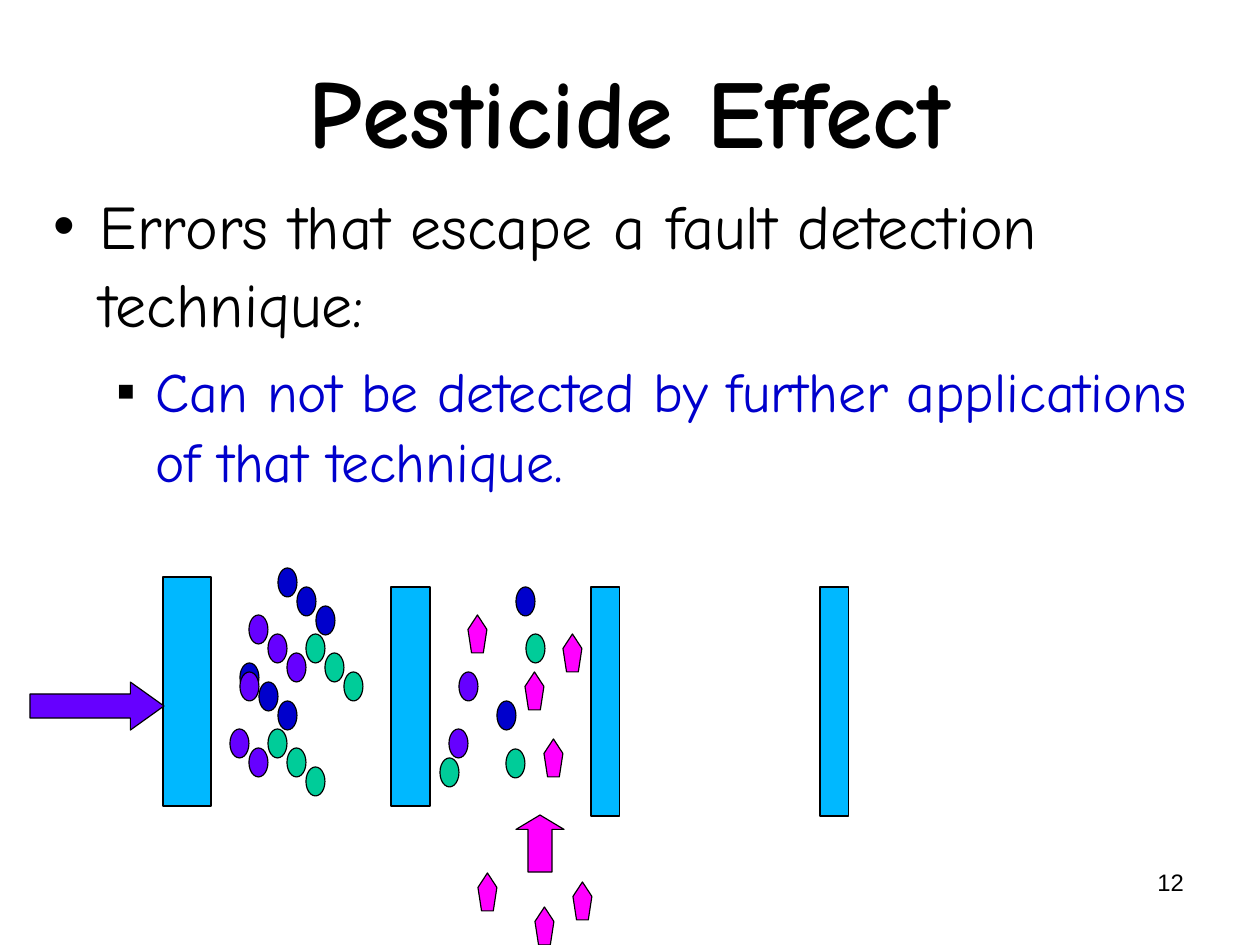
"""Build the Pesticide Effect slide."""
from lxml.etree import SubElement
from pptx import Presentation
from pptx.dml.color import RGBColor
from pptx.enum.shapes import MSO_SHAPE as Kind
from pptx.enum.text import MSO_ANCHOR as Anchor, MSO_AUTO_SIZE as Fit, PP_ALIGN as Align
from pptx.oxml.ns import qn
from pptx.util import Pt

PX = 8000
BLACK, BLUE, PURPLE = "000000", "0000CC", "6600FF"
GREEN, PINK, CYAN = "00CC99", "FF00FF", "00B8FF"


def style(shape, box, anchor=Anchor.TOP):
    """Place a text shape and set its frame."""
    shape.left, shape.top, shape.width, shape.height = [v * PX for v in box]
    frame = shape.text_frame
    frame.word_wrap, frame.auto_size = True, Fit.NONE
    frame.vertical_anchor = anchor
    frame.margin_left = frame.margin_right = 13 * PX
    frame.margin_top = frame.margin_bottom = 7 * PX
    return frame


def paint(target, color):
    """Give a font or a solid fill its colour."""
    if hasattr(target, "solid"):
        target.solid()
        target.fore_color.rgb = RGBColor.from_string(color)
    else:
        target.color.rgb = RGBColor.from_string(color)


deck = Presentation()
deck.slide_width, deck.slide_height = 1260 * PX, 945 * PX
slide = deck.slides.add_slide(deck.slide_layouts[1])
shapes = slide.shapes

frame = style(shapes.title, (63, -6, 1133, 245), Anchor.MIDDLE)
frame.text = "Pesticide Effect"
para = frame.paragraphs[0]
para.alignment, para.line_spacing = Align.CENTER, 0.91
para.font.name, para.font.size, para.font.bold = "Comic Neue", Pt(61), True
paint(para.font, BLACK)

points = [
    ("Errors that escape a fault detection technique:", 39, BLACK, "•", 47, 47, 0),
    ("Can not be detected by further applications of that technique.",
     35, BLUE, "▪", 102, 39, 8.6),
]
frame = style(slide.placeholders[1], (40, 177, 1190, 712))
frame.text = "\n".join(point[0] for point in points)
for level, (para, point) in enumerate(zip(frame.paragraphs, points)):
    text, size, color, mark, left, hang, gap = point
    para.level, para.line_spacing, para.space_before = level, 1.05, Pt(gap)
    props = para._p.get_or_add_pPr()
    props.set("marL", str(left * PX))
    props.set("indent", str(-hang * PX))
    SubElement(SubElement(props, qn("a:buClr")), qn("a:srgbClr"), val=BLACK)
    SubElement(props, qn("a:buFont"), typeface="Arial")
    SubElement(props, qn("a:buChar"), char=mark)
    para.font.name, para.font.size = "Comic Neue", Pt(size)
    paint(para.font, color)

walls = [(163, 577, 48, 229), (391, 587, 39, 219), (820, 587, 29, 229), (591, 587, 29, 229)]
chains = [
    (240, 663, BLUE, 3), (240, 672, PURPLE, 1), (230, 729, PURPLE, 2),
    (268, 729, GREEN, 3), (278, 568, BLUE, 3), (249, 615, PURPLE, 3),
    (306, 634, GREEN, 3), (440, 758, GREEN, 1), (497, 701, BLUE, 1),
    (459, 672, PURPLE, 1), (449, 729, PURPLE, 1), (506, 749, GREEN, 1),
    (516, 587, BLUE, 1), (526, 634, GREEN, 1),
]
sprays = [(468, 615), (525, 672), (544, 739), (563, 634), (478, 873), (535, 907), (573, 882)]

parts = [(Kind.RECTANGLE, wall, CYAN, ()) for wall in walls]
parts.append((Kind.RIGHT_ARROW, (30, 682, 134, 48), PURPLE, (0.5, 0.7)))
for x, y, color, count in chains:
    for i in range(count):
        parts.append((Kind.OVAL, (x + 19 * i, y + 19 * i, 19, 29), color, ()))
parts += [(Kind.REGULAR_PENTAGON, (x, y, 19, 38), PINK, ()) for x, y in sprays]
parts.append((Kind.UP_ARROW, (516, 815, 48, 57), PINK, (0.5, 0.3)))

for kind, box, color, turns in parts:
    shape = shapes.add_shape(kind, *[v * PX for v in box])
    shape.shadow.inherit = False
    for i, turn in enumerate(turns):
        shape.adjustments[i] = turn
    paint(shape.fill, color)
    paint(shape.line.fill, BLACK)
    shape.line.width = Pt(0.75)

frame = style(shapes.add_textbox(0, 0, PX, PX), (903, 861, 294, 65))
frame.text = "12"
para = frame.paragraphs[0]
para.alignment = Align.RIGHT
para.font.name, para.font.size = "Arial", Pt(15)
paint(para.font, BLACK)

deck.save("out.pptx")
